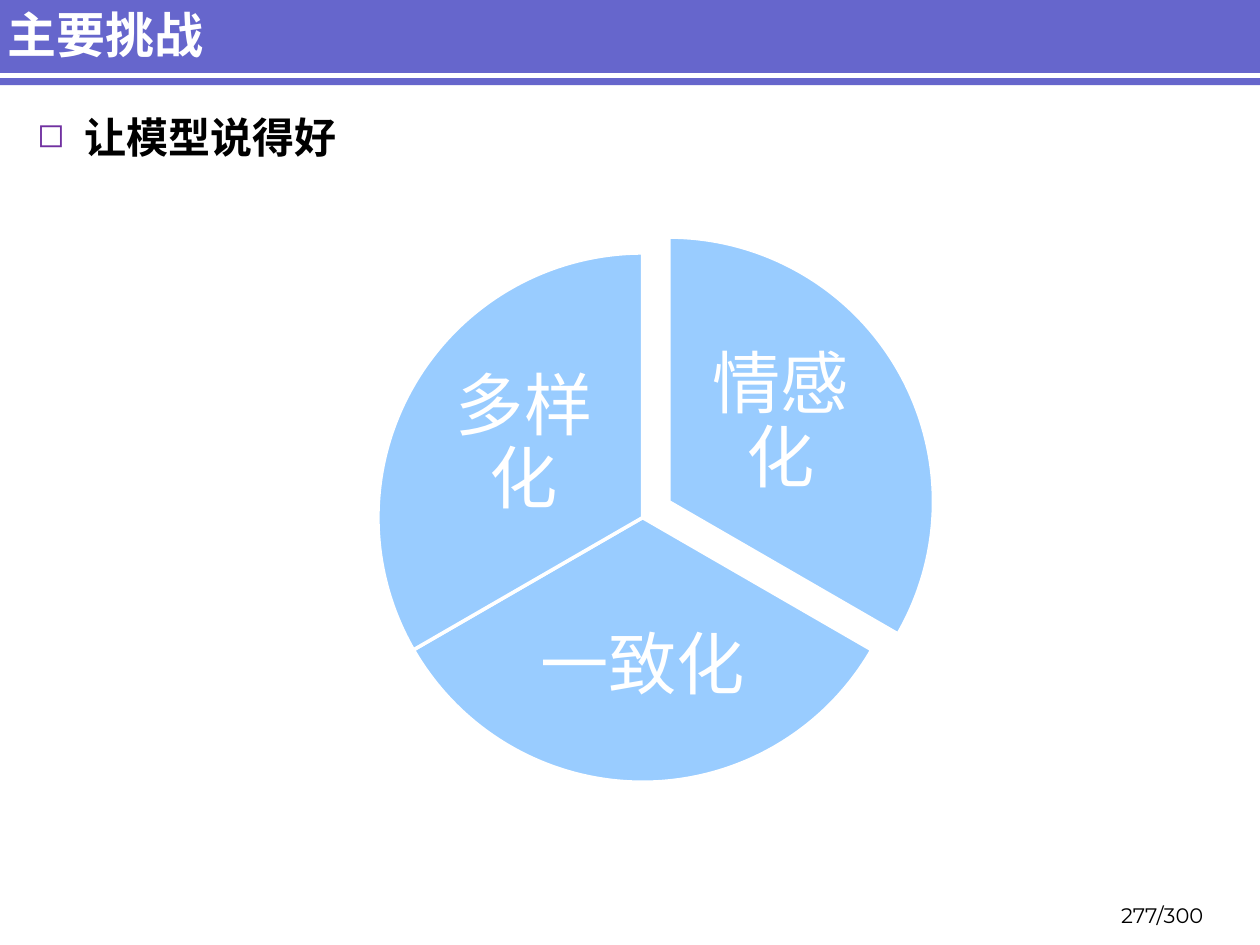
from dataclasses import dataclass

from lxml import etree
from pptx import Presentation
from pptx.dml.color import RGBColor
from pptx.enum.shapes import MSO_CONNECTOR, MSO_SHAPE
from pptx.enum.text import MSO_ANCHOR, MSO_AUTO_SIZE, PP_ALIGN
from pptx.oxml.ns import qn
from pptx.shapes.autoshape import Shape
from pptx.slide import Slide
from pptx.text.text import TextFrame, _Paragraph
from pptx.util import Cm, Pt

PIE, RECTANGLE = MSO_SHAPE.PIE, MSO_SHAPE.RECTANGLE
STRAIGHT = MSO_CONNECTOR.STRAIGHT
LEFT, CENTER, RIGHT = PP_ALIGN.LEFT, PP_ALIGN.CENTER, PP_ALIGN.RIGHT
TOP, MIDDLE, BOTTOM = MSO_ANCHOR.TOP, MSO_ANCHOR.MIDDLE, MSO_ANCHOR.BOTTOM
NO_AUTOFIT = MSO_AUTO_SIZE.NONE
TITLE_ONLY = 5
ADJUSTMENT_PER_DEGREE = 0.6


@dataclass(frozen=True)
class Theme:
    band: RGBColor = RGBColor(0x66, 0x66, 0xCC)
    slice: RGBColor = RGBColor(0x99, 0xCC, 0xFF)
    light: RGBColor = RGBColor(0xFF, 0xFF, 0xFF)
    dark: RGBColor = RGBColor(0, 0, 0)
    bullet: str = "7030A0"
    chinese: str = "Noto Sans CJK SC"
    latin: str = "Arial"
    number: str = "Montserrat"
    title_size: int = 28
    point_size: int = 24
    label_size: int = 39
    number_size: int = 12


@dataclass(frozen=True)
class Box:
    left: float
    top: float
    width: float
    height: float

    def lengths(self) -> tuple[Cm, Cm, Cm, Cm]:
        return Cm(self.left), Cm(self.top), Cm(self.width), Cm(self.height)


@dataclass(frozen=True)
class Style:
    font: str
    size: int
    color: RGBColor
    bold: bool = False
    align: PP_ALIGN = LEFT
    anchor: MSO_ANCHOR = TOP


@dataclass(frozen=True)
class Slice:
    name: str
    start: int
    pie: Box
    label: Box


THEME = Theme()
TITLE = Style(THEME.chinese, THEME.title_size, THEME.light, True, LEFT, MIDDLE)
POINT = Style(THEME.chinese, THEME.point_size, THEME.dark, True)
LABEL = Style(THEME.latin, THEME.label_size, THEME.light, False, CENTER, MIDDLE)
NUMBER = Style(THEME.number, THEME.number_size, THEME.dark, False, RIGHT, BOTTOM)

CIRCLE = Box(7.62, 5.1, 10.67, 10.67)
PULLED_OUT = Box(8.15, 4.78, 10.67, 10.67)
SWEEP = 120
SLICES = (
    Slice("情感化", 270, PULLED_OUT, Box(13.94, 6.76, 3.61, 3.56)),
    Slice("一致化", 30, CIRCLE, Box(10.54, 11.81, 4.83, 3.3)),
    Slice("多样化", 150, CIRCLE, Box(8.76, 7.19, 3.61, 3.56)),
)


def write(frame: TextFrame, words: str, style: Style) -> _Paragraph:
    """Fill a text frame with one styled paragraph and return it."""
    frame.word_wrap = True
    frame.auto_size = NO_AUTOFIT
    frame.vertical_anchor = style.anchor
    frame.text = words
    paragraph = frame.paragraphs[0]
    paragraph.alignment = style.align
    for run in paragraph.runs:
        run.font.name = style.font
        run.font.size = Pt(style.size)
        run.font.bold = style.bold
        run.font.color.rgb = style.color
        east_asian = etree.SubElement(run.font._element, qn("a:ea"))
        east_asian.set("typeface", THEME.chinese)
    return paragraph


def add_text(slide: Slide, box: Box, words: str, style: Style) -> TextFrame:
    """Add a text box and return its frame."""
    frame = slide.shapes.add_textbox(*box.lengths()).text_frame
    write(frame, words, style)
    return frame


def add_filled(slide: Slide, kind: MSO_SHAPE, box: Box, color: RGBColor) -> Shape:
    """Add a flat shape without an outline."""
    shape = slide.shapes.add_shape(kind, *box.lengths())
    shape.shadow.inherit = False
    shape.fill.solid()
    shape.fill.fore_color.rgb = color
    shape.line.fill.background()
    return shape


def add_header(slide: Slide, words: str) -> None:
    """Draw the band with its white rule and put the title on it."""
    add_filled(slide, RECTANGLE, Box(-0.1, -0.08, 25.5, 1.8), THEME.band)
    rule = slide.shapes.add_connector(STRAIGHT, Cm(-0.1), Cm(1.52), Cm(25.4), Cm(1.52))
    rule.line.color.rgb = THEME.light
    rule.line.width = Pt(3)
    etree.SubElement(rule._element.spPr, qn("a:effectLst"))
    title = slide.shapes.title
    title.left, title.top, title.width, title.height = Box(-0.1, 0.13, 22.28, 1.09).lengths()
    write(title.text_frame, words, TITLE)
    slide.shapes._spTree.append(title._element)


def add_point(slide: Slide, words: str) -> None:
    """Add the bulleted statement below the header."""
    paragraph = add_text(slide, Box(0.5, 2.13, 24, 15.6), words, POINT).paragraphs[0]
    paragraph.space_after = Pt(12)
    properties = paragraph._p.get_or_add_pPr()
    properties.set("marL", str(Cm(0.96)))
    properties.set("indent", str(Cm(-0.96)))
    color = etree.SubElement(properties, qn("a:buClr"))
    etree.SubElement(color, qn("a:srgbClr")).set("val", THEME.bullet)
    etree.SubElement(properties, qn("a:buSzPct")).set("val", "80000")
    etree.SubElement(properties, qn("a:buChar")).set("char", "◻")


def add_slice(slide: Slide, part: Slice) -> None:
    """Draw one pie slice with its label."""
    pie = add_filled(slide, PIE, part.pie, THEME.slice)
    pie.adjustments[0] = part.start * ADJUSTMENT_PER_DEGREE
    pie.adjustments[1] = (part.start + SWEEP) % 360 * ADJUSTMENT_PER_DEGREE
    pie.line.color.rgb = THEME.light
    pie.line.width = Pt(2)
    frame = add_text(slide, part.label, part.name, LABEL)
    frame.margin_left = frame.margin_right = Cm(0.13)
    frame.margin_top = frame.margin_bottom = Cm(0.13)
    frame.paragraphs[0].line_spacing = 0.9


def main() -> None:
    """Build the slide and save it."""
    presentation = Presentation()
    presentation.slide_width, presentation.slide_height = Cm(25.4), Cm(19.05)
    slide = presentation.slides.add_slide(presentation.slide_layouts[TITLE_ONLY])
    add_header(slide, "主要挑战")
    add_point(slide, "让模型说得好")
    for part in SLICES:
        add_slice(slide, part)
    add_text(slide, Box(21.87, 17.93, 2.64, 0.89), "277/300", NUMBER)
    presentation.save("out.pptx")


if __name__ == "__main__":
    main()
